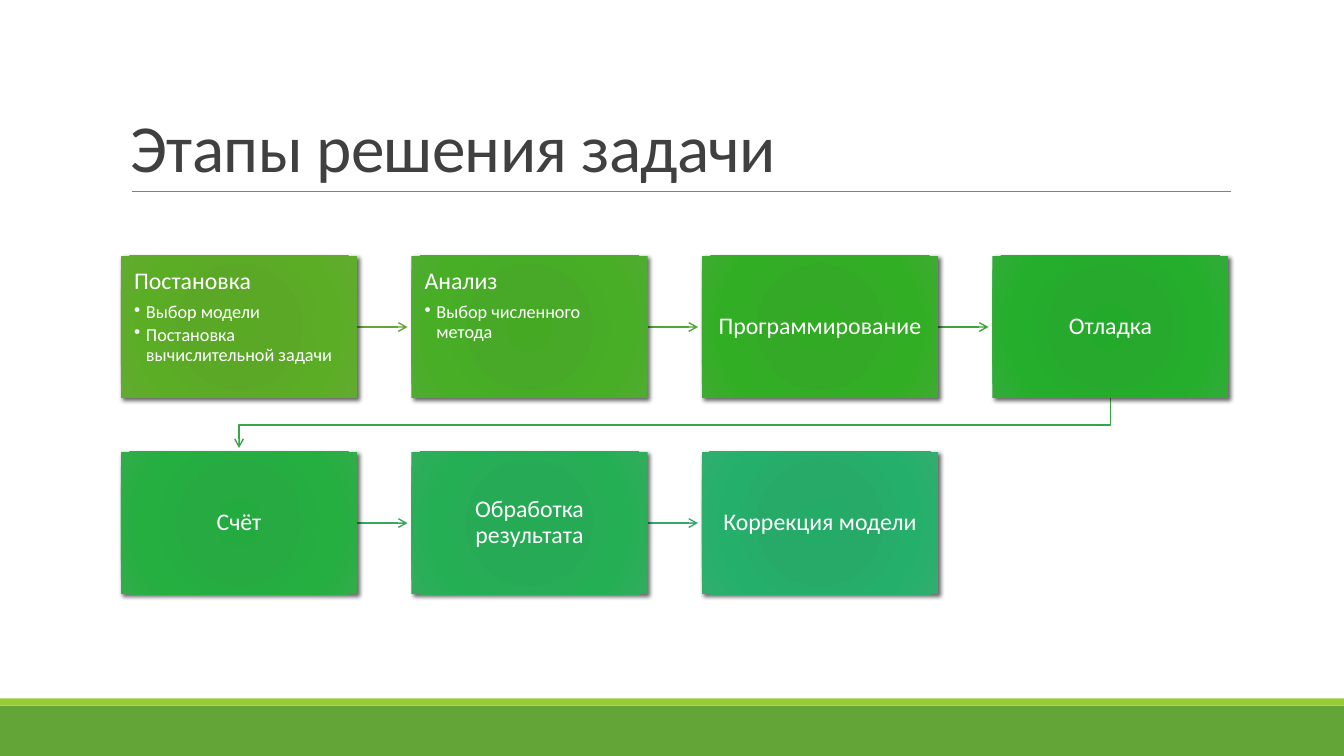
from lxml.etree import SubElement
from pptx import Presentation
from pptx.dml.color import RGBColor
from pptx.enum.shapes import MSO_CONNECTOR, MSO_SHAPE
from pptx.enum.text import MSO_ANCHOR, PP_ALIGN
from pptx.oxml import parse_xml
from pptx.oxml.ns import nsdecls, qn
from pptx.util import Cm, Pt

COLORS = {"title": "404040", "rule": "808080", "text": "FFFFFF",
          "band": "63A537", "stripe": "99CB38", "shadow": "000000"}
SLIDE_W, SLIDE_H = 33.87, 19.05
LEFT, TOP = 3.05, 6.45
BOX_W, BOX_H = 5.95, 3.58
STEP_X, STEP_Y = 7.32, 4.94
COLUMNS = 4
ARROW_GAP = 0.1
STOPS = (0, 34, 70, 100)

# heading, bullets, gradient colours, colour of the outgoing arrow
STAGES = [
    ("Постановка", ["Выбор модели", "Постановка вычислительной задачи"],
     ("59A924", "5BA827", "5BAD25", "62AB31"), "63A537"),
    ("Анализ", ["Выбор численного метода"],
     ("45A924", "47A927", "47AE25", "50AB31"), "4FA537"),
    ("Программирование", [], ("31AA24", "34A927", "32AE25", "3EAB31"), "3BA637"),
    ("Отладка", [], ("24AA2A", "27A92D", "25AE2C", "31AC38"), "37A647"),
    ("Счёт", [], ("24AB3F", "27AA41", "25AF40", "31AC4A"), "37A75B"),
    ("Обработка результата", [], ("24AB53", "27AA55", "25AF55", "31AC5C"), "37A76F"),
    ("Коррекция модели", [], ("24AB67", "27AA68", "24B06A", "31AD6F"), None),
]


class Deck:
    def __init__(self, prs, font="Calibri"):
        self.s = prs.slides.add_slide(prs.slide_layouts[6])
        self.font = font

    def run(self, p, text, size, color):
        r = p.add_run()
        r.text = text
        r.font.name, r.font.size = self.font, Pt(size)
        r.font.color.rgb = RGBColor.from_string(color)
        return r

    def rect(self, x, y, w, h):
        sp = self.s.shapes.add_shape(MSO_SHAPE.RECTANGLE, Cm(x), Cm(y), Cm(w), Cm(h))
        sp.shadow.inherit = False
        sp.line.fill.background()
        return sp

    def band(self, y, h, color):
        sp = self.rect(0, y, SLIDE_W, h)
        sp.fill.solid()
        sp.fill.fore_color.rgb = RGBColor.from_string(color)

    def title(self, text):
        sp = self.s.shapes.add_textbox(Cm(LEFT), Cm(0.79), Cm(27.94), Cm(4.04))
        tf = sp.text_frame
        tf.word_wrap = True
        tf.vertical_anchor = MSO_ANCHOR.BOTTOM
        p = tf.paragraphs[0]
        p.line_spacing = 0.85
        r = self.run(p, text, 48, COLORS["title"])
        r.font._element.set("spc", "-50")

    def stroke(self, sp, color, width, arrow=True):
        sp.line.color.rgb = RGBColor.from_string(color)
        sp.line.width = Pt(width)
        if arrow:
            SubElement(sp._element.spPr.find(qn("a:ln")), qn("a:tailEnd"), type="arrow")

    def line(self, x1, y1, x2, y2, color, width, arrow=True):
        cx = self.s.shapes.add_connector(
            MSO_CONNECTOR.STRAIGHT, Cm(x1), Cm(y1), Cm(x2), Cm(y2))
        self.stroke(cx, color, width, arrow)
        SubElement(cx._element.spPr, qn("a:effectLst"))
        return cx

    def bent_arrow(self, points, color):
        start, *rest = [(Cm(x), Cm(y)) for x, y in points]
        fb = self.s.shapes.build_freeform(*start)
        fb.add_line_segments(rest, close=False)
        sp = fb.convert_to_shape()
        sp.shadow.inherit = False
        sp.fill.background()
        self.stroke(sp, color, 1)

    def gradient(self, sp, colors):
        sp.fill.background()
        stops = "".join(f'<a:gs pos="{pos * 1000}"><a:srgbClr val="{color}"/></a:gs>'
                        for pos, color in zip(STOPS, colors))
        grad = parse_xml(
            f'<a:gradFill {nsdecls("a")} rotWithShape="1"><a:gsLst>{stops}</a:gsLst>'
            '<a:path path="circle"><a:fillToRect l="100000" t="100000" r="100000"'
            ' b="100000"/></a:path></a:gradFill>')
        spPr = sp._element.spPr
        spPr.replace(spPr.find(qn("a:noFill")), grad)

    def drop_shadow(self, sp):
        effects = sp._element.spPr.find(qn("a:effectLst"))
        shadow = SubElement(effects, qn("a:outerShdw"), blurRad=str(Pt(3)),
                            dist=str(Pt(2)), dir="2700000", rotWithShape="0")
        color = SubElement(shadow, qn("a:srgbClr"), val=COLORS["shadow"])
        SubElement(color, qn("a:alpha"), val="60000")

    def stage(self, x, y, heading, bullets, colors):
        sp = self.rect(x, y, BOX_W, BOX_H)
        self.gradient(sp, colors)
        self.drop_shadow(sp)
        tf = sp.text_frame
        tf.word_wrap = True
        tf.margin_left = tf.margin_right = tf.margin_top = tf.margin_bottom = Cm(0.33)
        tf.vertical_anchor = MSO_ANCHOR.TOP if bullets else MSO_ANCHOR.MIDDLE
        p = tf.paragraphs[0]
        p.alignment = PP_ALIGN.LEFT if bullets else PP_ALIGN.CENTER
        p.line_spacing, p.space_after = 0.9, Pt(6)
        self.run(p, heading, 17, COLORS["text"])
        for text in bullets:
            self.bullet(tf.add_paragraph(), text)
        return sp

    def bullet(self, p, text):
        p.level, p.alignment = 1, PP_ALIGN.LEFT
        p.line_spacing, p.space_after = 0.9, Pt(2)
        pPr = p._p.get_or_add_pPr()
        pPr.set("marL", str(Cm(0.3)))
        pPr.set("indent", str(-Cm(0.3)))
        SubElement(pPr, qn("a:buChar"), char="•")
        self.run(p, text, 13, COLORS["text"])


def main():
    prs = Presentation()
    prs.slide_width, prs.slide_height = Cm(SLIDE_W), Cm(SLIDE_H)
    deck = Deck(prs)
    deck.band(17.78, 1.27, COLORS["band"])
    deck.band(17.6, 0.18, COLORS["stripe"])
    deck.line(3.33, 4.83, 31.01, 4.83, COLORS["rule"], 0.5, arrow=False)
    deck.title("Этапы решения задачи")

    for i, (heading, bullets, colors, arrow_color) in enumerate(STAGES):
        row, col = divmod(i, COLUMNS)
        x, y = LEFT + col * STEP_X, TOP + row * STEP_Y
        arrow = None
        if arrow_color and col == COLUMNS - 1:
            start_x, end_x = x + BOX_W / 2, LEFT + BOX_W / 2
            bottom, next_top = y + BOX_H, y + STEP_Y
            turn = (bottom + next_top) / 2
            deck.bent_arrow([(start_x, bottom), (start_x, turn), (end_x, turn),
                             (end_x, next_top - ARROW_GAP)], arrow_color)
        elif arrow_color:
            mid = y + BOX_H / 2
            arrow = deck.line(x + BOX_W, mid, x + STEP_X - ARROW_GAP, mid, arrow_color, 1)
        box = deck.stage(x, y, heading, bullets, colors)
        if arrow:
            arrow.begin_connect(box, 3)

    prs.save("out.pptx")


if __name__ == "__main__":
    main()
